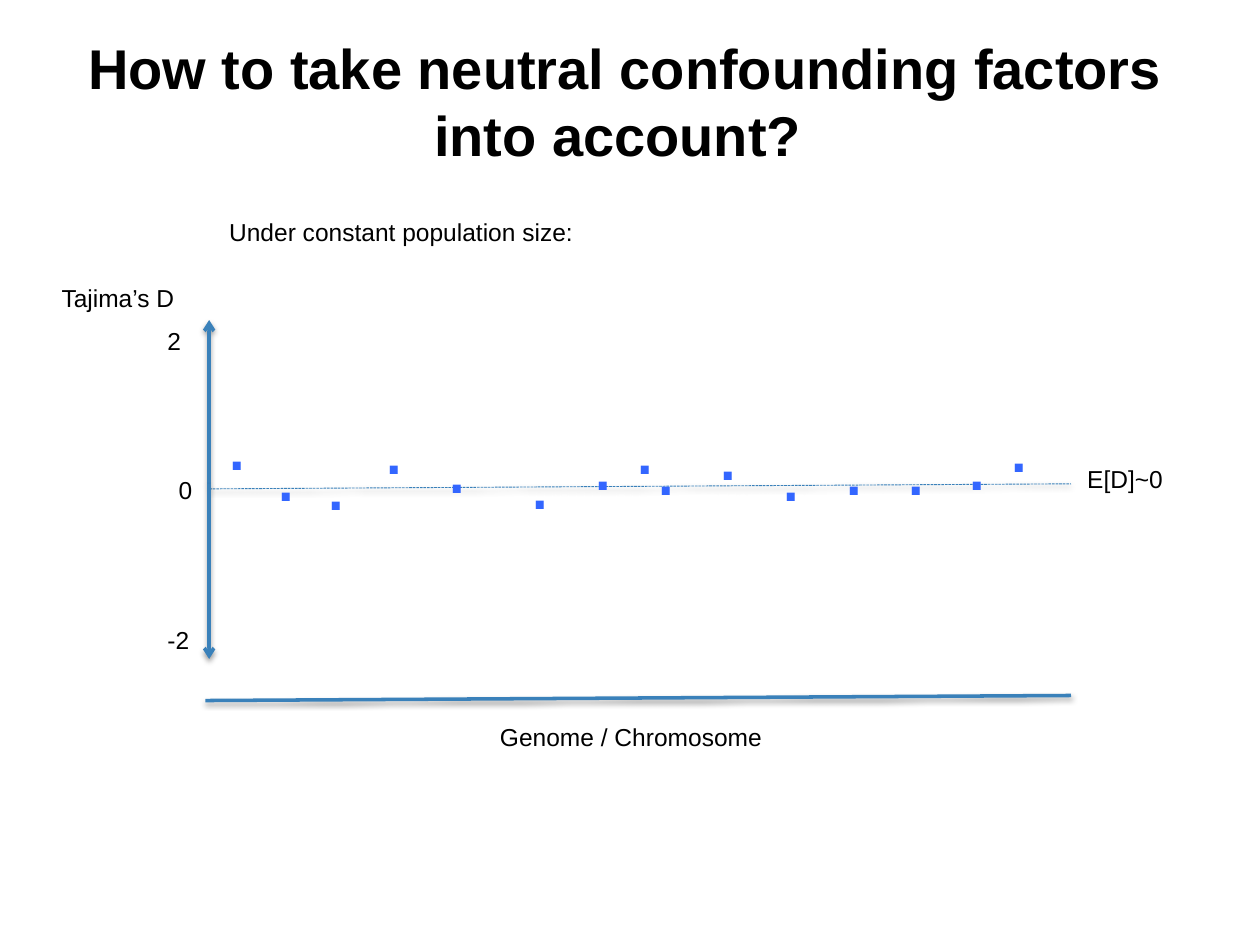
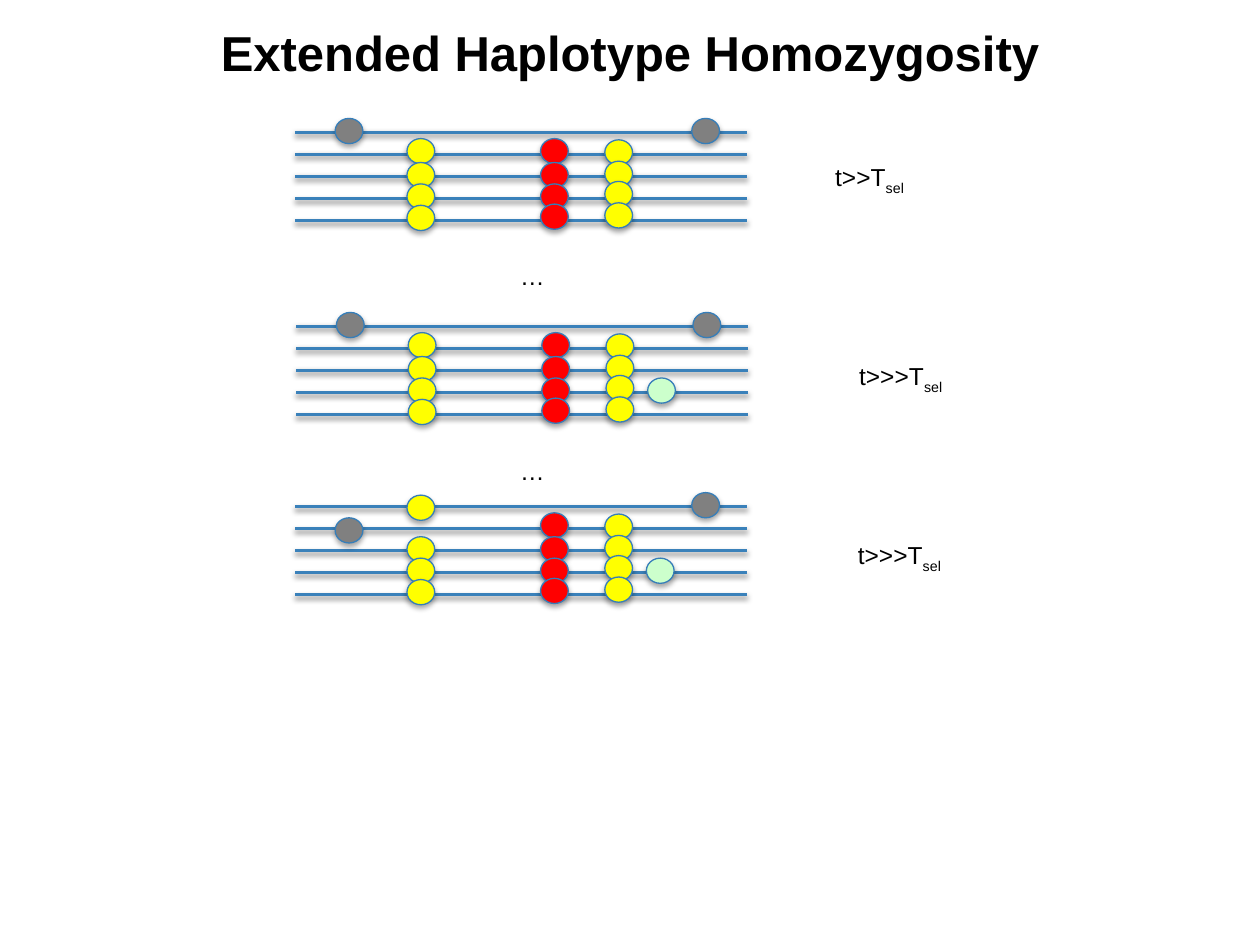
from lxml import etree
from pptx import Presentation
from pptx.dml.color import RGBColor
from pptx.enum import dml, shapes, text
from pptx.oxml.ns import qn
from pptx.util import Inches, Pt

FONT = "Arial"
COLORS = {
    "ink": "000000", "line": "3A81BA", "rim": "367EB9", "dot": "3366FF",
    "grey": "808080", "yellow": "FFFF00", "red": "FF0000", "mint": "CCFFCC",
}


def rgb(name):
    return RGBColor.from_string(COLORS[name])


def add_shadow(shape, alpha, dist):
    """Give the shape a soft shadow that falls straight down."""
    effects = etree.SubElement(shape.element.spPr, qn("a:effectLst"))
    outer = etree.SubElement(
        effects, qn("a:outerShdw"), blurRad=str(Pt(3.1)), dist=str(Pt(dist)),
        dir="5400000", rotWithShape="0")
    color = etree.SubElement(outer, qn("a:srgbClr"), val=COLORS["ink"])
    etree.SubElement(color, qn("a:alpha"), val=str(alpha * 1000))


def add_line(parent, start, end, width=2, dash=None, arrow=False):
    line = parent.shapes.add_connector(
        shapes.MSO_CONNECTOR.STRAIGHT, *map(Inches, start + end))
    line.line.color.rgb = rgb("line")
    line.line.width = Pt(width)
    if dash:
        line.line.dash_style = dash
    if arrow:
        stroke = line.element.spPr.find(qn("a:ln"))
        etree.SubElement(stroke, qn("a:tailEnd"), type="arrow")
    add_shadow(line, 38, 1.6)


def add_text(slide, box, words, size=14, color="ink", bold=False, wrap=False):
    frame = slide.shapes.add_textbox(*map(Inches, box)).text_frame
    frame.text = words
    frame.word_wrap = wrap
    frame.auto_size = text.MSO_AUTO_SIZE.SHAPE_TO_FIT_TEXT
    style(frame.paragraphs[0].runs[0], size, color, bold)
    return frame


def style(run, size, color="ink", bold=False):
    run.font.name = FONT
    run.font.size = Pt(size)
    run.font.bold = bold
    run.font.color.rgb = rgb(color)


def add_title(slide, box, words, size):
    frame = add_text(slide, box, words, size, bold=True, wrap=True)
    frame.auto_size = text.MSO_AUTO_SIZE.NONE
    frame.vertical_anchor = text.MSO_ANCHOR.MIDDLE
    frame.margin_top = frame.margin_bottom = Inches(0.1)
    frame.paragraphs[0].alignment = text.PP_ALIGN.CENTER


def add_plot(slide, left, top):
    """Tajima's D along the genome; left, top is the tip of the D axis."""
    zero, right = top + 1.3, left + 6.84
    add_line(slide, (left, zero + 0.04), (right, zero), 0.5,
             dml.MSO_LINE.SQUARE_DOT)
    for tip in (top, top + 2.69):
        add_line(slide, (left, zero), (left, tip), arrow=True)
    add_line(slide, (left - 0.03, top + 3.02), (right, top + 2.98))

    labels = [
        ("Tajima’s D", -1.27, -0.34, 1.13), ("0", -0.34, 1.18, 0.31),
        ("2", -0.43, 0, 0.31), ("-2", -0.43, 2.37, 0.38),
        ("Genome / Chromosome", 2.21, 3.14, 2.3), ("E[D]~0", 6.87, 1.09, 0.81),
        ("Under constant population size:", 0.06, -0.87, 2.95),
    ]
    for words, x, y, width in labels:
        add_text(slide, (left + x, top + y, width, 0.34), words)

    dots = [
        (0.06, 0.7), (0.45, 0.95), (0.85, 1.02), (1.31, 0.73), (1.81, 0.88),
        (2.47, 1.01), (2.97, 0.86), (3.3, 0.73), (3.47, 0.9), (3.96, 0.78),
        (4.46, 0.95), (4.96, 0.9), (5.45, 0.9), (5.94, 0.86), (6.27, 0.72),
    ]
    for x, y in dots:
        add_text(slide, (left + x, top + y, 0.33, 0.64), ".", 32, "dot", True)


def add_site(group, left, top, color):
    site = group.shapes.add_shape(
        shapes.MSO_SHAPE.OVAL, *map(Inches, (left, top, 0.22, 0.2)))
    site.fill.solid()
    site.fill.fore_color.rgb = rgb(color)
    site.line.color.rgb = rgb("rim")
    site.line.width = Pt(0.75)
    add_shadow(site, 35, 1.8)


def add_sample(slide, left, top, sites):
    """Five haplotypes, with sites as (colour, x, list of y)."""
    group = slide.shapes.add_group_shape()
    for row in range(5):
        y = top + 0.11 + 0.7 * row / 4
        add_line(group, (left, y), (left + 3.59, y))
    for color, x, rows in sites:
        for y in rows:
            add_site(group, left + x, top + y, color)


def add_time(slide, left, top, words):
    frame = add_text(slide, (left, top, 1.08, 0.34), words, wrap=True)
    sub = frame.paragraphs[0].add_run()
    sub.text = "sel"
    style(sub, 14)
    sub.font._element.set("baseline", "-25000")


def build_plot(slide):
    add_title(slide, (0.55, 0.47, 8.83, 0.66),
              "How to take neutral confounding factors into account? ", 32)
    add_plot(slide, 1.66, 2.54)


def build_samples(slide):
    add_title(slide, (0.5, 0.08, 9, 0.66), "Extended Haplotype Homozygosity", 28)
    left_rows = [0.16, 0.35, 0.52, 0.69]
    swept = [("red", 1.95, [0.16, 0.35, 0.52, 0.68]),
             ("yellow", 2.46, [0.17, 0.34, 0.5, 0.67])]
    ends = [("grey", 0.32, [0]), ("grey", 3.15, [0])]
    linked = ends + [("yellow", 0.89, left_rows)] + swept
    mint = [("mint", 2.79, [0.52])]
    mixed = [("grey", 0.32, [0.2]), ("grey", 3.15, [0]),
             ("yellow", 0.89, [0.02] + left_rows[1:])] + swept + mint

    add_sample(slide, 2.34, 0.94, linked)
    add_sample(slide, 2.35, 2.48, linked + mint)
    add_sample(slide, 2.34, 3.91, mixed)
    for x, y, words in ((6.53, 1.24, "t>>T"), (6.72, 2.82, "t>>>T"),
                        (6.71, 4.24, "t>>>T")):
        add_time(slide, x, y, words)
    for y in (2.02, 3.57):
        add_text(slide, (4.03, y, 0.4, 0.34), "…")


def main():
    deck = Presentation()
    deck.slide_width, deck.slide_height = Inches(10), Inches(7.5)
    for build in (build_plot, build_samples):
        build(deck.slides.add_slide(deck.slide_layouts[6]))
    deck.save("out.pptx")


if __name__ == "__main__":
    main()
